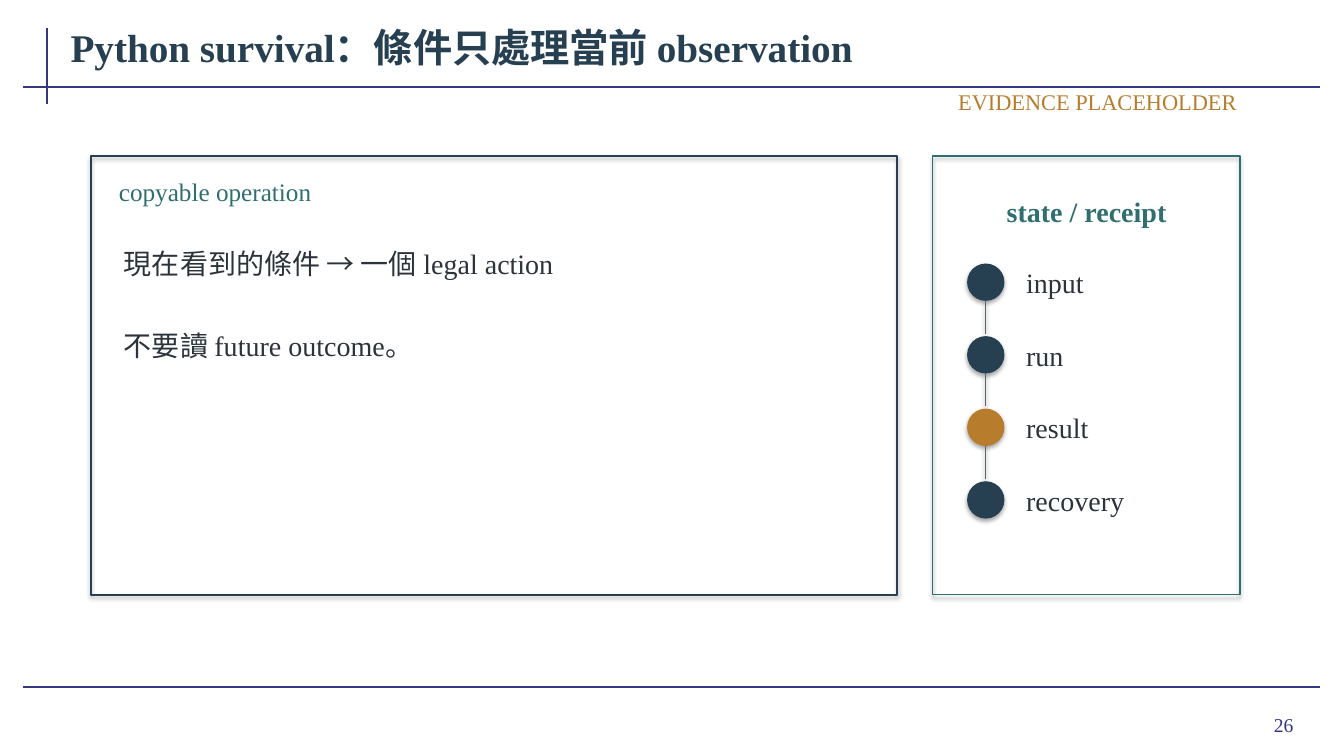
from pptx import Presentation
from pptx.dml.color import RGBColor
from pptx.enum.shapes import MSO_CONNECTOR, MSO_SHAPE
from pptx.enum.text import MSO_ANCHOR, PP_ALIGN
from pptx.oxml.ns import qn
from pptx.util import Pt
from lxml import etree

RECTANGLE, OVAL = MSO_SHAPE.RECTANGLE, MSO_SHAPE.OVAL
STRAIGHT = MSO_CONNECTOR.STRAIGHT
MIDDLE = MSO_ANCHOR.MIDDLE
LEFT, CENTER, RIGHT = PP_ALIGN.LEFT, PP_ALIGN.CENTER, PP_ALIGN.RIGHT

FONT = "Times New Roman"
COLORS = {
    "rule": "35377F",
    "navy": "263F51",
    "teal": "2F6F70",
    "amber": "B77D2D",
    "ink": "2A343A",
    "link": "59686F",
}
TITLE = "Python survival：條件只處理當前 observation"
TAG = "EVIDENCE PLACEHOLDER"
PAGE_NUMBER = "26"
OPERATION_HEADING = "copyable operation"
OPERATION_LINES = ["現在看到的條件 → 一個 legal action", "不要讀 future outcome。"]
STATE_HEADING = "state / receipt"
STEPS = [("input", "navy"), ("run", "navy"), ("result", "amber"), ("recovery", "navy")]

FRAME_RULES = [
    (33.84, 20.16, 33.84, 74.16),
    (16.56, 61.92, 943.2, 61.92),
    (16.56, 491.04, 943.2, 491.04),
]
PANEL_TOP, PANEL_HEIGHT = 111.6, 313.2
PANELS = [(64.8, 576, "navy", 1.4), (666, 219.6, "teal", 1.1)]
LINE_TOP, LINE_PITCH = 162, 59.04
DOT_LEFT, DOT_TOP, DOT_SIZE, STEP_PITCH = 691.2, 188.64, 25.92, 51.84
LABEL_HEIGHT, LINK_LENGTH = 28.8, 23.76


def rgb(name):
    return RGBColor.from_string(COLORS[name])


def format_text(box, text, size, color, align=LEFT, bold=False, insets=(5.76, 2.88)):
    frame = box.text_frame
    frame.word_wrap = True
    frame.vertical_anchor = MIDDLE
    frame.margin_left = frame.margin_right = Pt(insets[0])
    frame.margin_top = frame.margin_bottom = Pt(insets[1])
    frame.text = text
    para = frame.paragraphs[0]
    para.alignment = align
    para.font.name = FONT
    para.font.size = Pt(size)
    para.font.bold = bold
    para.font.color.rgb = rgb(color)


def add_text(page, place, text, size, color, **options):
    box = page.shapes.add_textbox(*map(Pt, place))
    format_text(box, text, size, color, **options)


def add_line(page, ends, color, width):
    line = page.shapes.add_connector(STRAIGHT, *map(Pt, ends))
    line.line.color.rgb = rgb(color)
    line.line.width = Pt(width)
    return line


def add_frame(page):
    for ends in FRAME_RULES:
        rule = add_line(page, ends, "rule", 1.5)
        etree.SubElement(rule._element.spPr, qn("a:effectLst"))
    add_text(page, (861.12, 498.96, 69.84, 37.44), PAGE_NUMBER, 14, "rule",
             align=RIGHT, insets=(7.2, 3.6))
    title = page.shapes.title
    title.left, title.top, title.width, title.height = map(Pt, (44.64, 10.8, 899.28, 44.64))
    format_text(title, TITLE, 28, "navy", bold=True)
    add_text(page, (658.8, 61.92, 230.4, 21.6), TAG, 16, "amber", align=RIGHT)


def add_panels(page):
    for left, width, color, weight in PANELS:
        panel = page.shapes.add_shape(
            RECTANGLE, Pt(left), Pt(PANEL_TOP), Pt(width), Pt(PANEL_HEIGHT))
        panel.fill.background()
        panel.line.color.rgb = rgb(color)
        panel.line.width = Pt(weight)


def add_operation(page):
    add_text(page, (79.2, 123.84, 547.2, 25.2), OPERATION_HEADING, 18, "teal")
    for index, text in enumerate(OPERATION_LINES):
        top = LINE_TOP + index * LINE_PITCH
        add_text(page, (82.8, top, 529.2, 51.84), text, 20, "ink")


def add_steps(page):
    add_text(page, (682.56, 131.04, 187.2, 39.6), STATE_HEADING, 20, "teal",
             align=CENTER, bold=True)
    middle = DOT_LEFT + DOT_SIZE / 2
    for index, (label, color) in enumerate(STEPS):
        top = DOT_TOP + index * STEP_PITCH
        bottom = top + DOT_SIZE
        dot = page.shapes.add_shape(OVAL, Pt(DOT_LEFT), Pt(top), Pt(DOT_SIZE), Pt(DOT_SIZE))
        dot.fill.solid()
        dot.fill.fore_color.rgb = rgb(color)
        dot.line.color.rgb = rgb(color)
        dot.line.width = Pt(0.75)
        label_top = top + (DOT_SIZE - LABEL_HEIGHT) / 2
        add_text(page, (727.2, label_top, 133.2, LABEL_HEIGHT), label, 20, "ink")
        if index < len(STEPS) - 1:
            add_line(page, (middle, bottom, middle, bottom + LINK_LENGTH), "link", 0.9)


def main():
    deck = Presentation()
    deck.slide_width, deck.slide_height = Pt(960), Pt(540)
    page = deck.slides.add_slide(deck.slide_layouts[5])
    add_frame(page)
    add_panels(page)
    add_operation(page)
    add_steps(page)
    deck.save("out.pptx")


if __name__ == "__main__":
    main()
